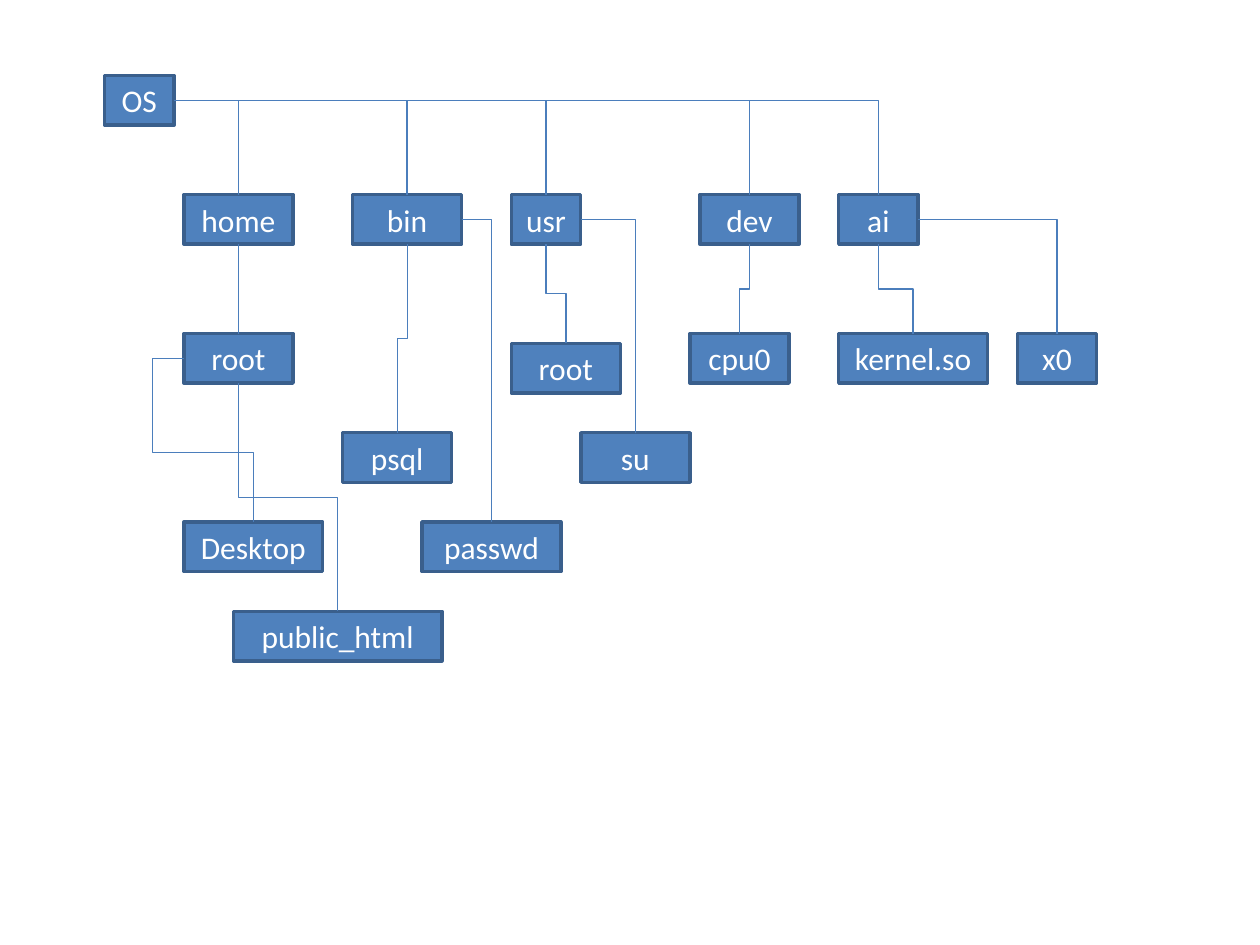
from lxml.etree import SubElement
from pptx import Presentation
from pptx.dml.color import RGBColor as Rgb
from pptx.enum.shapes import MSO_CONNECTOR as Link, MSO_SHAPE as Shape
from pptx.enum.text import MSO_ANCHOR as Anchor, PP_ALIGN as Align
from pptx.oxml.ns import qn
from pptx.util import Inches, Mm, Pt

COLORS = {"box": "4F81BD", "border": "3A5F8C", "link": "4B7EBC", "text": "FFFFFF"}
CELL = Mm(2)
BOX_ROWS = 5

deck = Presentation()
deck.slide_width, deck.slide_height = Inches(10), Inches(7.5)
page = deck.slides.add_slide(deck.slide_layouts[6])
LEFT, TOP = Inches(0.83), Inches(0.6)

FOLDERS = [
    ("OS", 0, 0, 7, None),
    ("OS/home", 8, 12, 11, "side"),
    ("OS/bin", 25, 12, 11, "side"),
    ("OS/usr", 41, 12, 7, "side"),
    ("OS/dev", 60, 12, 10, "side"),
    ("OS/ai", 74, 12, 8, "side"),
    ("OS/ai/kernel.so", 74, 26, 15, "step"),
    ("OS/ai/x0", 92, 26, 8, "side"),
    ("OS/home/root", 8, 26, 11, "straight"),
    ("OS/home/root/Desktop", 8, 45, 14, "loop"),
    ("OS/home/root/public_html", 13, 54, 21, "step"),
    ("OS/bin/psql", 24, 36, 11, "step"),
    ("OS/bin/passwd", 32, 45, 14, "side"),
    ("OS/usr/su", 48, 36, 11, "side"),
    ("OS/usr/root", 41, 27, 11, "step"),
    ("OS/dev/cpu0", 59, 26, 10, "step"),
]
ROUTES = {
    "straight": (2, "line", {}),
    "step": (2, "bentConnector3", {"adj1": 50000}),
    "side": (3, "bentConnector2", {}),
    "loop": (1, "bentConnector4", {"adj1": -45400, "adj2": 57600}),
}


def add_box(text, *, column, row, columns, size=18, font="Calibri", color="text"):
    box = page.shapes.add_shape(
        Shape.RECTANGLE, LEFT + column * CELL, TOP + row * CELL,
        columns * CELL, BOX_ROWS * CELL)
    box.shadow.inherit = False
    box.fill.solid()
    box.fill.fore_color.rgb = Rgb.from_string(COLORS["box"])
    box.line.color.rgb = Rgb.from_string(COLORS["border"])
    box.line.width = Pt(2)
    box.text_frame.vertical_anchor = Anchor.MIDDLE
    para = box.text_frame.paragraphs[0]
    para.alignment = Align.CENTER
    span = para.add_run()
    span.text = text
    span.font.size, span.font.name = Pt(size), font
    span.font.color.rgb = Rgb.from_string(COLORS[color])
    return box


def add_link(parent, child, route):
    side, preset, bends = ROUTES[route]
    kind = Link.STRAIGHT if route == "straight" else Link.ELBOW
    link = page.shapes.add_connector(kind, 0, 0, 0, 0)
    link.begin_connect(parent, side)
    link.end_connect(child, 0)
    link.line.color.rgb = Rgb.from_string(COLORS["link"])
    link.line.width = Pt(0.75)
    properties = link._element.spPr
    SubElement(properties, qn("a:effectLst"))

    geometry = properties.find(qn("a:prstGeom"))
    geometry.set("prst", preset)
    for name, value in bends.items():
        guide = SubElement(geometry.find(qn("a:avLst")), qn("a:gd"))
        guide.set("name", name)
        guide.set("fmla", f"val {value}")

    if route == "step":
        across, down = link.end_x - link.begin_x, link.end_y - link.begin_y
        center_x = (link.begin_x + link.end_x) // 2
        center_y = (link.begin_y + link.end_y) // 2
        frame = properties.find(qn("a:xfrm"))
        frame.set("flipH", "1" if across > 0 else "0")
        frame.set("rot", str((270 if across > 0 else 90) * 60000))
        link.width, link.height = down, abs(across)
        link.left, link.top = center_x - down // 2, center_y - abs(across) // 2


boxes = {}
for folder, column, row, columns, route in FOLDERS:
    label = folder.split("/")[-1]
    boxes[folder] = add_box(label, column=column, row=row, columns=columns)

for folder, column, row, columns, route in FOLDERS:
    if route:
        add_link(boxes[folder.rpartition("/")[0]], boxes[folder], route)

deck.save("out.pptx")
